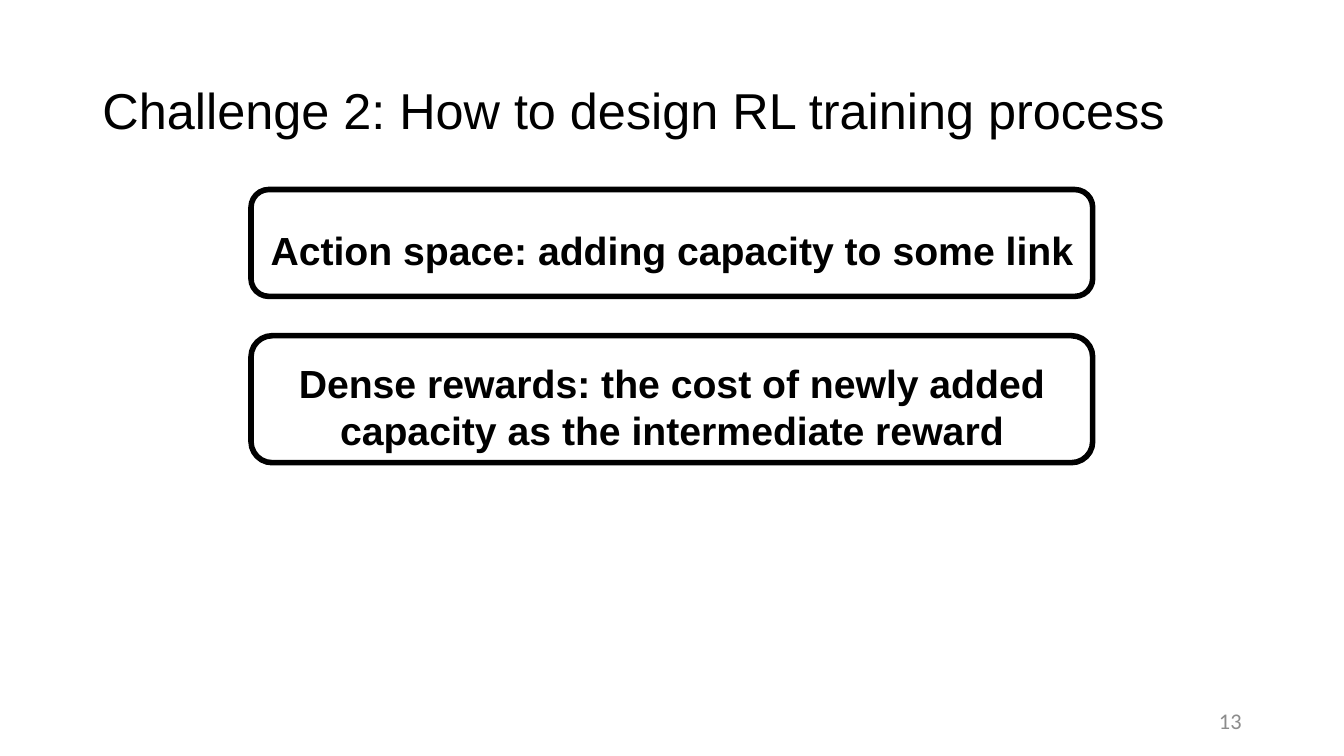
from dataclasses import dataclass

from pptx import Presentation
from pptx.dml.color import RGBColor as RGB
from pptx.enum.shapes import MSO_SHAPE as SHAPE
from pptx.enum.text import MSO_ANCHOR as ANCHOR, PP_ALIGN as ALIGN
from pptx.util import Pt


@dataclass(frozen=True)
class Theme:
    black = RGB(0, 0, 0)
    white = RGB(255, 255, 255)
    gray = RGB(0x8C, 0x8C, 0x8C)
    title_size = Pt(36)
    box_size = Pt(28)
    number_size = Pt(16)


def write(shape, text, align, color, **font):
    tf = shape.text_frame
    tf.word_wrap = True
    tf.vertical_anchor = ANCHOR.MIDDLE
    p = tf.paragraphs[0]
    p.alignment = align
    r = p.add_run()
    r.text = text
    r.font.color.rgb = color
    for name, value in font.items():
        setattr(r.font, name, value)
    return tf


theme = Theme()
prs = Presentation()
prs.slide_width, prs.slide_height = Pt(960), Pt(540)
s = prs.slides.add_slide(prs.slide_layouts[5])

title = s.shapes.title
title.left, title.top, title.width, title.height = Pt(66), Pt(28.75), Pt(828), Pt(104.4)
tf = write(title, "Challenge 2: How to design RL training process", ALIGN.LEFT,
           theme.black, name="Arial", size=theme.title_size)
tf.paragraphs[0].line_spacing = 0.9

number = s.shapes.add_textbox(Pt(678), Pt(500.5), Pt(216), Pt(28.75))
write(number, "13", ALIGN.RIGHT, theme.gray, name="Calibri", size=theme.number_size)

design_choices = [
    (135.4, 76.3, "Action space: adding capacity to some link"),
    (239.8, 90.7, "Dense rewards: the cost of newly added capacity as the intermediate reward"),
]
for top, height, text in design_choices:
    box = s.shapes.add_shape(SHAPE.ROUNDED_RECTANGLE, Pt(179.3), Pt(top), Pt(601.2), Pt(height))
    box.shadow.inherit = False
    box.fill.solid()
    box.fill.fore_color.rgb = theme.white
    box.line.color.rgb = theme.black
    box.line.width = Pt(4)
    tf = write(box, text, ALIGN.CENTER, theme.black,
               name="Arial", size=theme.box_size, bold=True)
    tf.margin_left = tf.margin_right = Pt(4)
    tf.margin_top, tf.margin_bottom = Pt(12), Pt(2)

prs.save("out.pptx")
